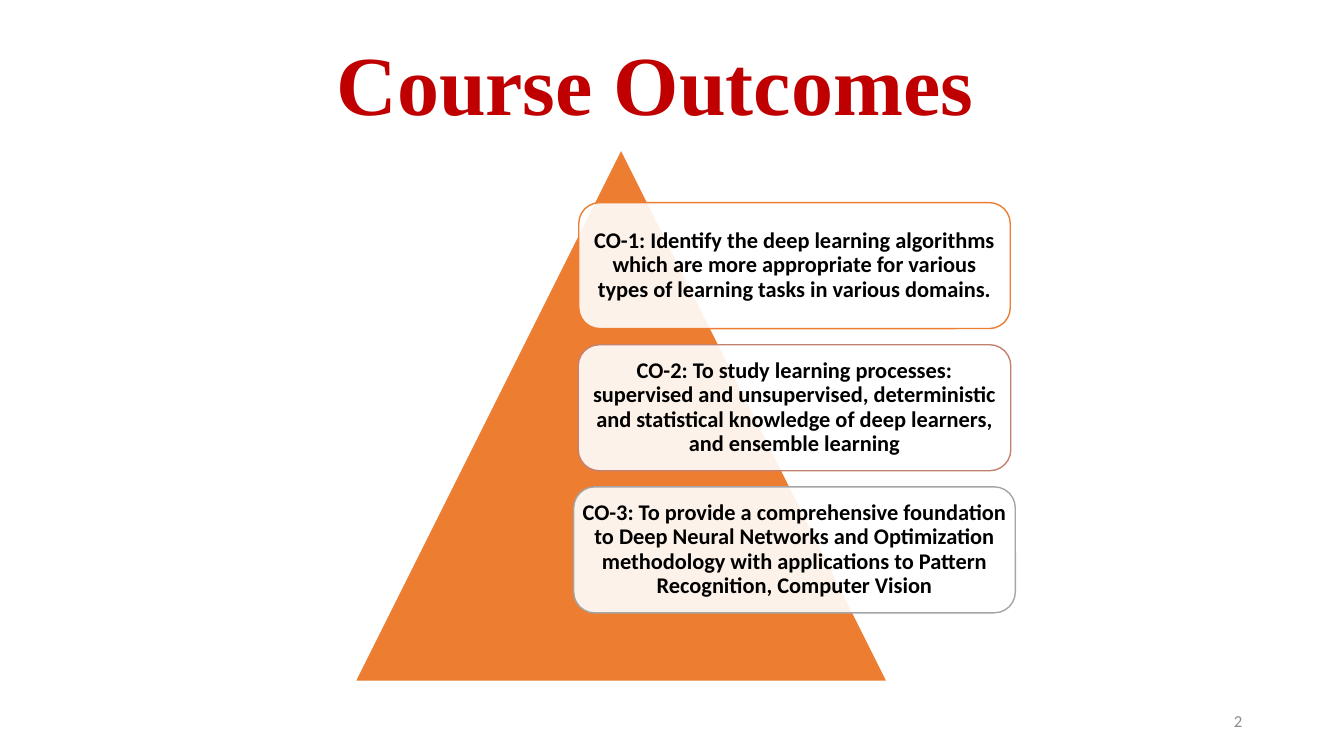
import pptx
import pptx.util
from lxml import etree
from pptx.dml.color import RGBColor
from pptx.enum.shapes import MSO_SHAPE
from pptx.enum.text import MSO_ANCHOR, PP_ALIGN
from pptx.oxml.ns import qn
from pptx.util import Inches

WHITE = RGBColor(0xFF, 0xFF, 0xFF)
BLACK = RGBColor(0x00, 0x00, 0x00)
RED = RGBColor(0xC0, 0x00, 0x00)
ORANGE = RGBColor(0xED, 0x7D, 0x31)
ROSE = RGBColor(0xC4, 0x81, 0x70)
GRAY = RGBColor(0xA5, 0xA5, 0xA5)
NUMBER_GRAY = RGBColor(0x8C, 0x8C, 0x8C)

CARD_TOP, CARD_HEIGHT, CARD_GAP = 2.01, 1.25, 0.16
CARDS_CENTER = 7.88

# Width, outline colour and wording of each outcome
OUTCOMES = [
    (4.28, ORANGE, "CO-1: Identify the deep learning algorithms which are more "
     "appropriate for various types of learning tasks in various domains."),
    (4.29, ROSE, "CO-2: To study learning processes: supervised and unsupervised, "
     "deterministic and statistical knowledge of deep learners, and ensemble learning"),
    (4.38, GRAY, "CO-3: To provide a comprehensive foundation to Deep Neural Networks "
     "and Optimization methodology with applications to Pattern Recognition, "
     "Computer Vision"),
]


class OutcomeSlide:
    """Holds the slide and the shared text and shape style."""

    body_font = "Calibri"
    title_font = "Times New Roman"

    def __init__(self, presentation):
        self.slide = presentation.slides.add_slide(presentation.slide_layouts[5])

    def add_text(self, shape, text, size, color, font=body_font, bold=False,
                 align=PP_ALIGN.CENTER, spacing=0.9):
        frame = shape.text_frame
        frame.word_wrap = True
        frame.vertical_anchor = MSO_ANCHOR.MIDDLE
        paragraph = frame.paragraphs[0]
        paragraph.alignment = align
        paragraph.line_spacing = spacing
        run = paragraph.add_run()
        run.text = text
        run.font.name = font
        run.font.size = pptx.util.Pt(size)
        run.font.bold = bold
        run.font.color.rgb = color
        return frame

    def title(self, text, left, top, width, height):
        title = self.slide.shapes.title
        title.left, title.top = Inches(left), Inches(top)
        title.width, title.height = Inches(width), Inches(height)
        self.add_text(title, text, 60, RED, self.title_font, bold=True)

    def page_number(self, text, left, top, width, height):
        box = self.slide.shapes.add_textbox(
            Inches(left), Inches(top), Inches(width), Inches(height))
        self.add_text(box, text, 12, NUMBER_GRAY, align=PP_ALIGN.RIGHT, spacing=1.0)

    def shape(self, kind, left, top, width, height, fill, line):
        shape = self.slide.shapes.add_shape(
            kind, Inches(left), Inches(top), Inches(width), Inches(height))
        shape.shadow.inherit = False
        shape.fill.solid()
        shape.fill.fore_color.rgb = fill
        shape.line.color.rgb = line
        shape.line.width = pptx.util.Pt(1)
        return shape

    def card(self, text, left, top, width, height, line):
        card = self.shape(MSO_SHAPE.ROUNDED_RECTANGLE, left, top, width, height,
                          WHITE, line)
        # Let the triangle show faintly through the card
        fill_color = card.element.spPr.find(qn("a:solidFill"))[0]
        etree.SubElement(fill_color, qn("a:alpha"), val="90000")
        frame = self.add_text(card, text, 16, BLACK, bold=True)
        frame.margin_left = frame.margin_right = Inches(0.01)
        frame.margin_top = frame.margin_bottom = Inches(0.01)


def main():
    presentation = pptx.Presentation()
    presentation.slide_width = Inches(13.33)
    presentation.slide_height = Inches(7.5)
    page = OutcomeSlide(presentation)

    # Title and page number
    page.title("Course Outcomes", 1.05, 0.15, 10.89, 1.45)
    page.page_number("2", 9.42, 6.95, 3, 0.4)

    # Triangle behind the outcome cards
    page.shape(MSO_SHAPE.ISOSCELES_TRIANGLE, 3.52, 1.48, 5.28, 5.28, ORANGE, WHITE)

    # Outcome cards, centred on one axis
    for index, (width, line, text) in enumerate(OUTCOMES):
        page.card(text, CARDS_CENTER - width / 2,
                  CARD_TOP + index * (CARD_HEIGHT + CARD_GAP),
                  width, CARD_HEIGHT, line)

    presentation.save("out.pptx")


if __name__ == "__main__":
    main()
